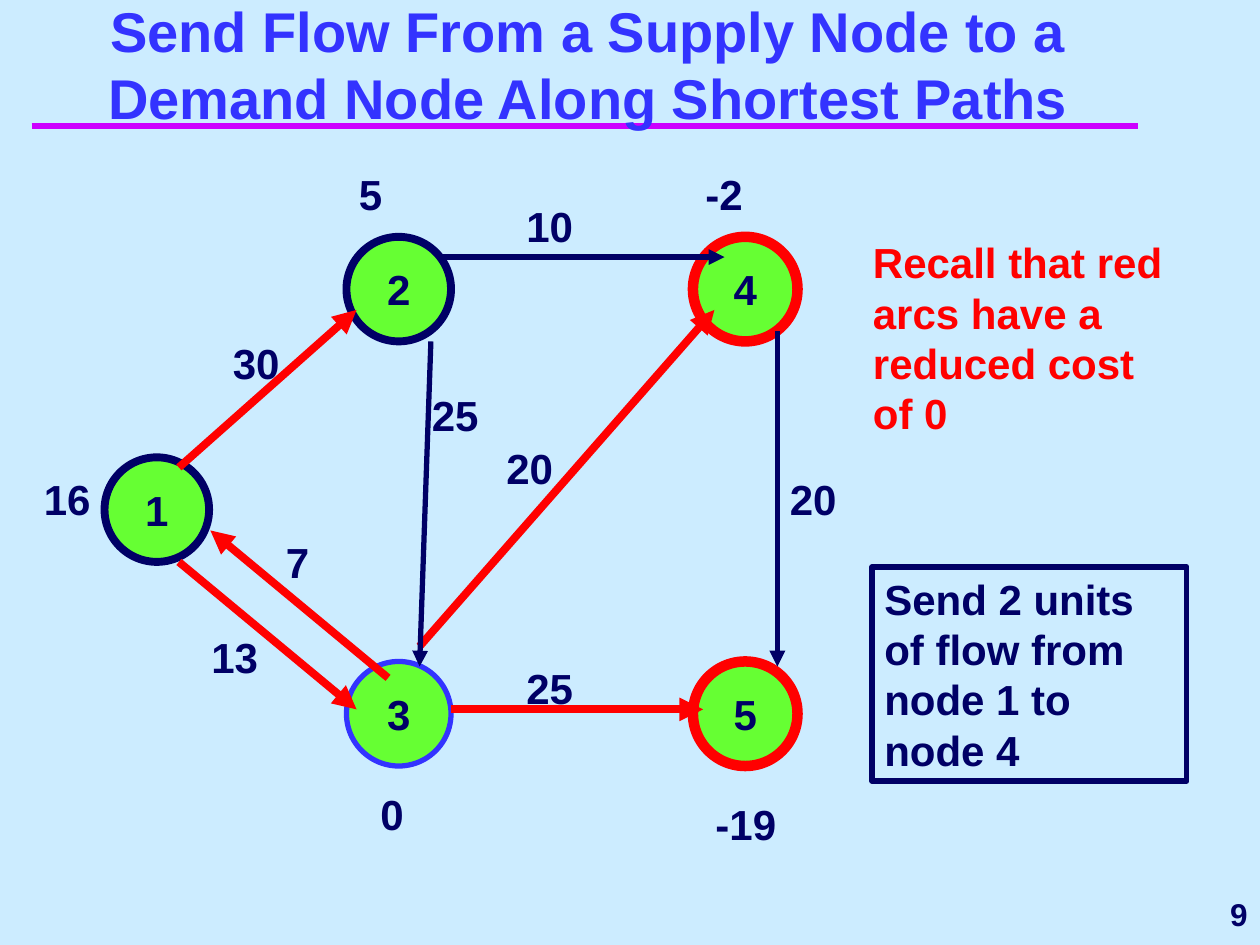
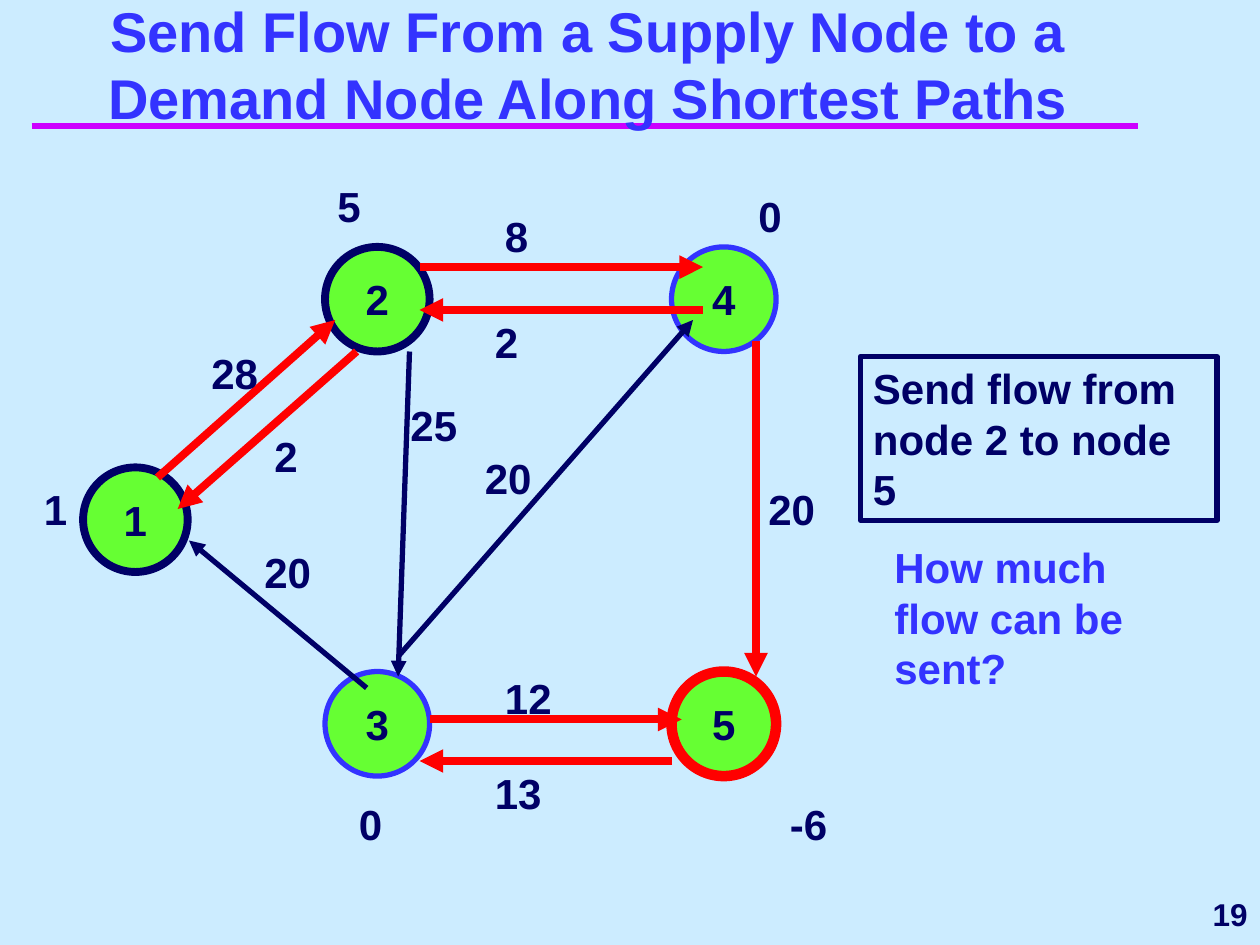
"""Build two slides that send flow along shortest paths in a network."""
from lxml import etree
from pptx import Presentation
from pptx.dml.color import RGBColor
from pptx.enum.shapes import MSO_CONNECTOR as Link, MSO_SHAPE as Shape
from pptx.enum.text import MSO_ANCHOR as Anchor, PP_ALIGN as Align
from pptx.oxml.ns import qn
from pptx.util import Inches, Pt

SKY = RGBColor(0xCC, 0xEC, 0xFF)
NAVY = RGBColor(0x00, 0x00, 0x66)
BLUE = RGBColor(0x33, 0x33, 0xFF)
RED = RGBColor(0xFF, 0x00, 0x00)
GREEN = RGBColor(0x66, 0xFF, 0x33)
PINK = RGBColor(0xCC, 0x00, 0xFF)

TITLE = "Send Flow From a Supply Node to a Demand Node Along Shortest Paths"
SIDE = 0.83
RING = {NAVY: 4.5, BLUE: 3, RED: 6}
WIDTH = {NAVY: 3, RED: 4.5}

NODES = {1: (0.83, 3.63), 2: (2.75, 1.88), 3: (2.75, 5.25),
         5: (5.5, 5.25), 4: (5.5, 1.88)}

ARCS = {
    (1, 2): ((1.42, 3.71, 2.83, 2.46), (1.75, 2.63)),
    (2, 1): ((3, 2.71, 1.58, 3.96), (2.25, 3.29)),
    (2, 4): ((3.5, 2.04, 5.75, 2.04), (4.08, 1.54)),
    (4, 2): ((5.75, 2.38, 3.5, 2.38), (4, 2.38)),
    (4, 5): ((6.17, 2.63, 6.17, 5.29), (6.17, 3.71)),
    (3, 4): ((3.33, 5.13, 5.67, 2.46), (3.92, 3.46)),
    (1, 3): ((1.42, 4.46, 2.83, 5.63), (1.58, 4.96)),
    (3, 1): ((3.08, 5.38, 1.67, 4.21), (2.17, 4.21)),
    (3, 5): ((3.58, 5.63, 5.58, 5.63), (4.08, 5.21)),
    (5, 3): ((5.5, 5.96, 3.5, 5.96), (4, 5.96)),
    (2, 3): ((3.42, 2.71, 3.33, 5.29), (3.33, 3.04)),
}

SLIDES = [
    {
        "page": "9", "shift": (0, 0),
        "rings": {1: NAVY, 2: NAVY, 3: BLUE, 4: RED, 5: RED},
        "arcs": {(1, 2): ("30", RED), (2, 4): ("10", NAVY),
                 (4, 5): ("20", NAVY), (3, 4): ("20", RED),
                 (1, 3): ("13", RED), (3, 5): ("25", RED),
                 (2, 3): ("25", NAVY), (3, 1): ("7", RED)},
        "needs": [("16", 0.25, 3.71), ("5", 2.75, 1.29), ("0", 2.92, 6.21),
                  ("-2", 5.5, 1.29), ("-19", 5.58, 6.29)],
        "notes": [
            ("Send 2 units of flow from node 1 to node 4",
             (6.92, 4.5, 2.5, 1.7), NAVY, NAVY),
            ("Recall that red arcs have a reduced cost of 0",
             (6.83, 1.83, 2.67, 1.7), RED, None)],
    },
    {
        "page": "19", "shift": (-0.17, 0.08),
        "rings": {1: NAVY, 2: NAVY, 3: BLUE, 4: BLUE, 5: RED},
        "arcs": {(1, 2): ("28", RED), (2, 4): ("8", RED),
                 (4, 5): ("20", RED), (3, 4): ("20", NAVY),
                 (3, 5): ("12", RED), (2, 3): ("25", NAVY),
                 (3, 1): ("20", NAVY), (5, 3): ("13", RED),
                 (2, 1): ("2", RED), (4, 2): ("2", RED)},
        "needs": [("1", 0.25, 3.79), ("5", 2.58, 1.38), ("0", 2.75, 6.29),
                  ("0", 5.92, 1.46), ("-6", 6.17, 6.29)],
        "notes": [
            ("Send flow from node 2 to node 5",
             (6.83, 2.83, 2.83, 1.3), NAVY, NAVY),
            ("How much flow can be sent?",
             (7, 4.25, 2.25, 1.3), BLUE, None)],
    },
]


def write(slide, text, box, size=24, color=NAVY, align=Align.LEFT,
          anchor=Anchor.TOP, shape=None, fill=None, line=None, width=3,
          wrap=True):
    """Place formatted text in a text box or in a preset shape."""
    place = [Inches(n) for n in box]
    if shape is None:
        item = slide.shapes.add_textbox(*place)
    else:
        item = slide.shapes.add_shape(shape, *place)
        item.shadow.inherit = False
    if fill is None:
        item.fill.background()
    else:
        item.fill.solid()
        item.fill.fore_color.rgb = fill
    if line is None:
        item.line.fill.background()
    else:
        item.line.color.rgb = line
        item.line.width = Pt(width)
    frame = item.text_frame
    frame.word_wrap = wrap
    frame.vertical_anchor = anchor
    para = frame.paragraphs[0]
    para.alignment = align
    run = para.add_run()
    run.text = text
    font = run.font
    font.name, font.size, font.bold = "Arial", Pt(size), True
    font.color.rgb = color


def draw(slide, ends, color, width, arrow=True):
    """Draw a straight line, with an arrowhead at its end if asked."""
    link = slide.shapes.add_connector(Link.STRAIGHT, *[Inches(n) for n in ends])
    link.line.color.rgb = color
    link.line.width = Pt(width)
    if arrow:
        head = etree.SubElement(link.line._get_or_add_ln(), qn("a:tailEnd"))
        head.set("type", "triangle")
    etree.SubElement(link._element.spPr, qn("a:effectLst"))


prs = Presentation()
prs.slide_width, prs.slide_height = Inches(10), Inches(7.5)
back = prs.slide_master.background.fill
back.solid()
back.fore_color.rgb = SKY

for data in SLIDES:
    slide = prs.slides.add_slide(prs.slide_layouts[6])
    dx, dy = data["shift"]
    draw(slide, (0.25, 1, 9.03, 1), PINK, 4, arrow=False)
    write(slide, TITLE, (0.42, 0.67, 8.5, 0.42), size=32, color=BLUE,
          align=Align.CENTER, anchor=Anchor.BOTTOM)
    for node, (x, y) in NODES.items():
        ring = data["rings"][node]
        write(slide, str(node), (x + dx, y + dy, SIDE, SIDE),
              align=Align.CENTER, anchor=Anchor.MIDDLE, shape=Shape.OVAL,
              fill=GREEN, line=ring, width=RING[ring], wrap=False)
    for arc, (cost, color) in data["arcs"].items():
        (x1, y1, x2, y2), (x, y) = ARCS[arc]
        draw(slide, (x1 + dx, y1 + dy, x2 + dx, y2 + dy), color, WIDTH[color])
        wide = 0.67 if arc in [(1, 3), (3, 1)] else 1.17
        write(slide, cost, (x + dx, y + dy, wide, 0.5))
    for need, x, y in data["needs"]:
        write(slide, need, (x, y, 0.75, 0.5))
    for note, box, color, edge in data["notes"]:
        write(slide, note, box, color=color, line=edge,
              shape=Shape.RECTANGLE if edge else None)
    write(slide, data["page"], (8.08, 7, 1.92, 0.5), size=18,
          align=Align.RIGHT, anchor=Anchor.MIDDLE)

prs.save("out.pptx")
